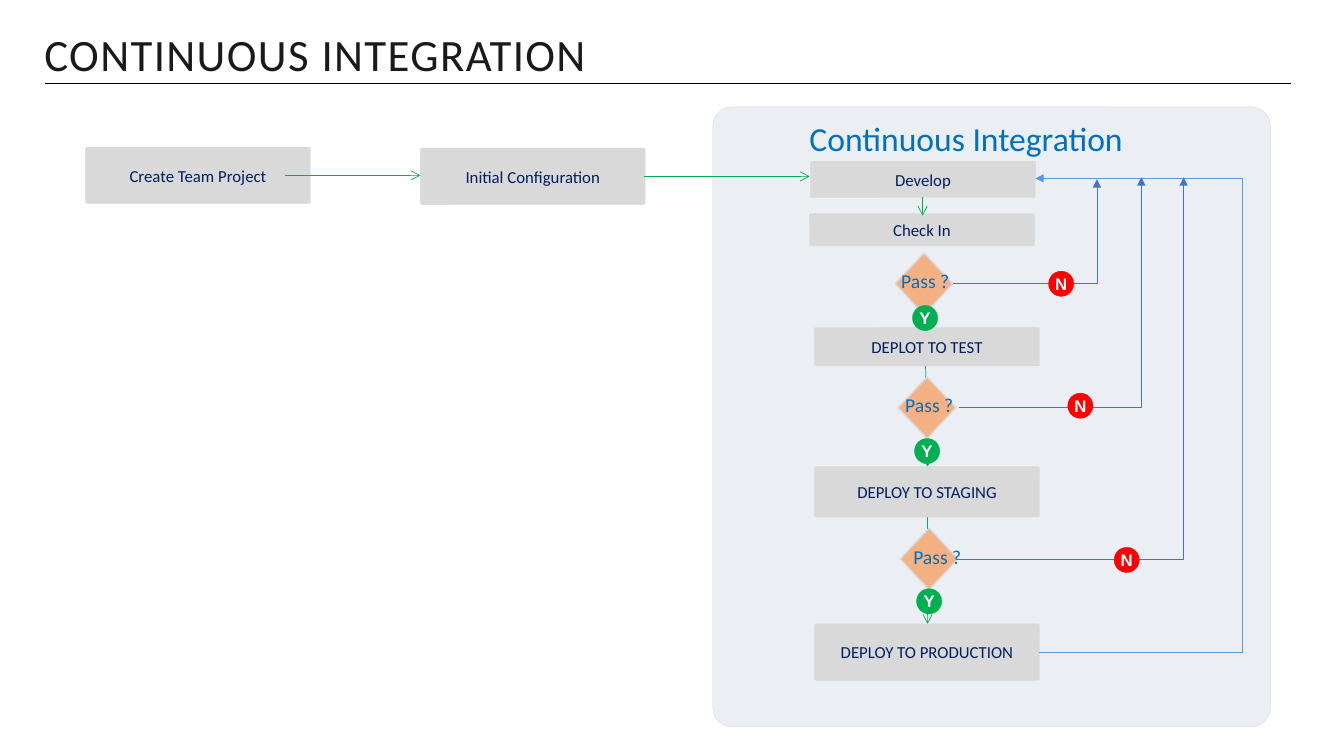
from lxml.etree import SubElement
from pptx import Presentation
from pptx.dml.color import RGBColor
from pptx.enum.shapes import MSO_CONNECTOR as Line, MSO_SHAPE as Preset
from pptx.enum.text import MSO_ANCHOR as Anchor, MSO_AUTO_SIZE as AutoSize, PP_ALIGN as Align
from pptx.oxml.ns import qn
from pptx.util import Inches, Pt

COLORS = {
    "panel": "EBEEF2", "step": "D9D9D9", "border": "D9D9D9", "decision": "F4B183",
    "yes": "00B050", "no": "FF0000", "flow": "00B050", "return": "5B9BD5",
    "retry": "4472C4", "step_text": "002060", "accent": "0070C0",
    "title": "1A1A1A", "rule": "000000", "badge_text": "FFFFFF",
}
TITLE = "CONTINUOUS INTEGRATION"
PANEL = (7.07, 1.06, 5.53, 6.15)
PANEL_HEADING = ("Continuous Integration", (7.93, 1.12, 4.26, 0.5))
STEP_WIDTH = 2.23
STEPS = [  # text, left, top, height
    ("Create Team Project", 0.85, 1.46, 0.56),
    ("Initial Configuration", 4.17, 1.47, 0.56),
    ("Develop", 8.04, 1.6, 0.36),
    ("Check In", 8.03, 2.12, 0.32),
    ("DEPLOT TO TEST", 8.08, 3.25, 0.38),
    ("DEPLOY TO STAGING", 8.08, 4.63, 0.5),
    ("DEPLOY TO PRODUCTION", 8.08, 6.19, 0.56),
]
DECISION_SIZE = (0.57, 0.61)
DECISIONS = [  # diamond corner, label corner, Y corner, N corner, retry start, retry end
    ((8.88, 2.51), (8.84, 2.62), (9.05, 3.03), (10.4, 2.69), (9.45, 2.81), (10.88, 1.78)),
    ((8.91, 3.74), (8.88, 3.85), (9.07, 4.35), (10.59, 3.9), (9.51, 4.04), (11.32, 1.76)),
    ((8.93, 5.24), (8.96, 5.36), (9.09, 5.84), (11.05, 5.43), (9.48, 5.55), (11.74, 1.76)),
]
DECISION_LABEL = "Pass ?"
LABEL_SIZE = (0.83, 0.34)
BADGE_SIZE = (0.25, 0.25)
FLOWS_BEHIND = [((9.2, 5.13), (9.2, 6.19)), ((9.17, 3.13), (9.2, 4.63))]
FLOWS = [
    ((2.83, 1.74), (4.17, 1.74)),
    ((6.39, 1.75), (8.03, 1.75)),
    ((9.15, 1.95), (9.15, 2.14)),
]
RETURN_START, RETURN_END, RETURN_X = (10.31, 6.47), (10.27, 1.77), 12.31
CORNER = 0.034


def color(name):
    return RGBColor.from_string(COLORS[name])


def write(shape, text, size=12, ink="step_text", font="Calibri", bold=False,
          align=Align.CENTER, anchor=Anchor.MIDDLE, margins=None, spacing=None, tracking=None):
    frame = shape.text_frame
    frame.word_wrap = True
    frame.auto_size = AutoSize.NONE
    frame.vertical_anchor = anchor
    if margins:
        frame.margin_left = frame.margin_right = Inches(margins[0])
        frame.margin_top = frame.margin_bottom = Inches(margins[1])
    paragraph = frame.paragraphs[0]
    paragraph.alignment = align
    if spacing:
        paragraph.line_spacing = spacing
    run = paragraph.add_run()
    run.text = text
    run.font.size, run.font.name, run.font.bold = Pt(size), font, bold
    run.font.color.rgb = color(ink)
    if tracking:
        run.font._element.set("spc", str(tracking))


def add_preset(preset, box, fill, border="border", weight=0.25):
    shape = slide.shapes.add_shape(preset, *map(Inches, box))
    shape.shadow.inherit = False
    shape.fill.solid()
    shape.fill.fore_color.rgb = color(fill)
    shape.line.color.rgb = color(border)
    shape.line.width = Pt(weight)
    if preset == Preset.ROUNDED_RECTANGLE:
        shape.adjustments[0] = CORNER
    return shape


def add_label(text, box, **style):
    label = slide.shapes.add_textbox(*map(Inches, box))
    write(label, text, ink="accent", align=Align.LEFT, anchor=Anchor.TOP, **style)


def add_badge(text, corner, fill):
    badge = add_preset(Preset.OVAL, (*corner, *BADGE_SIZE), fill, border=fill)
    write(badge, text, ink="badge_text", font="Arial", bold=True, margins=(0, 0))


def connect(start, end, ink="flow", weight=0.5, head="arrow", turn_x=None):
    """Draw a straight line, or an elbow whose vertical part lies at turn_x."""
    kind = Line.STRAIGHT if turn_x is None else Line.ELBOW
    connector = slide.shapes.add_connector(kind, *map(Inches, (*start, *end)))
    connector.line.color.rgb = color(ink)
    connector.line.width = Pt(weight)
    properties = connector._element.spPr
    if head:
        SubElement(connector.line._get_or_add_ln(), qn("a:tailEnd"), type=head)
    SubElement(properties, qn("a:effectLst"))
    if turn_x is not None:
        ratio = (turn_x - start[0]) / (end[0] - start[0])
        guides = properties.find(qn("a:prstGeom")).get_or_add_avLst()
        SubElement(guides, qn("a:gd"), name="adj1", fmla=f"val {round(ratio * 100000)}")


deck = Presentation()
deck.slide_width, deck.slide_height = Inches(13.33), Inches(7.5)
slide = deck.slides.add_slide(deck.slide_layouts[5])

title = slide.shapes.title
title.left, title.top, title.width, title.height = map(Inches, (0.44, 0.17, 12.89, 0.82))
write(title, TITLE, size=32, ink="title", align=Align.LEFT, margins=(0, 0.05),
      spacing=0.8, tracking=100)
connect((0.45, 0.83), (12.8, 0.83), ink="rule", weight=1, head=None)

add_preset(Preset.ROUNDED_RECTANGLE, PANEL, "panel")
add_label(*PANEL_HEADING, size=24)

for start, end in FLOWS_BEHIND:
    connect(start, end)
for diamond, *_ in DECISIONS:
    add_preset(Preset.DIAMOND, (*diamond, *DECISION_SIZE), "decision", weight=1)
for text, left, top, height in STEPS:
    step = add_preset(Preset.ROUNDED_RECTANGLE, (left, top, STEP_WIDTH, height), "step")
    write(step, text)
for start, end in FLOWS:
    connect(start, end)

connect(RETURN_START, RETURN_END, ink="return", head="triangle", turn_x=RETURN_X)
for _, label, yes, no, start, end in DECISIONS:
    add_label(DECISION_LABEL, (*label, *LABEL_SIZE), size=14)
    connect(start, end, ink="retry", head="triangle", turn_x=end[0])
    add_badge("Y", yes, "yes")
    add_badge("N", no, "no")

deck.save("out.pptx")
